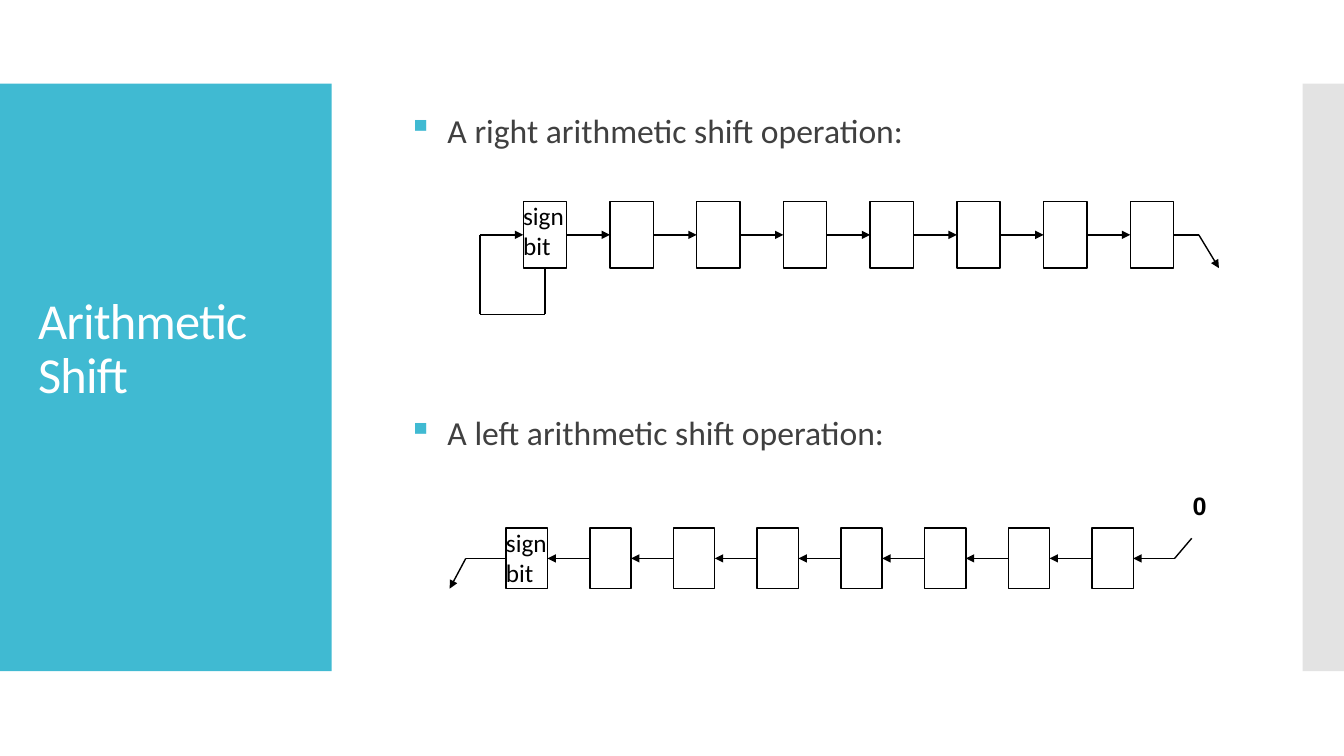
from lxml import etree
from pptx import Presentation
from pptx import util as u
from pptx.dml import color
from pptx.enum import shapes, text
from pptx.oxml import ns

PX = 9144
TOP, LEFT, BOTTOM, RIGHT = range(4)
ACCENT, INK, BLACK, WHITE = "40BAD2", "404040", "000000", "FFFFFF"


def px(*lengths):
    return [u.Emu(round(length * PX)) for length in lengths]


def rgb(code):
    return color.RGBColor.from_string(code)


def child(parent, tag, **attributes):
    return etree.SubElement(parent, ns.qn(tag), attributes)


def add_rect(page, box, fill=None, line=None):
    rect = page.shapes.add_shape(shapes.MSO_SHAPE.RECTANGLE, *px(*box))
    rect.shadow.inherit = False
    if fill:
        rect.fill.solid()
        rect.fill.fore_color.rgb = rgb(fill)
    else:
        rect.fill.background()
    if line:
        rect.line.color.rgb = rgb(line)
        rect.line.width = u.Pt(1)
    else:
        rect.line.fill.background()
    return rect


def add_text(page, box, lines, size, code, font="Calibri", wrap=True):
    frame = page.shapes.add_textbox(*px(*box)).text_frame
    frame.word_wrap = wrap
    frame.text = "\n".join(lines)
    for para in frame.paragraphs:
        para.font.name = font
        para.font.size = u.Pt(size)
        para.font.color.rgb = rgb(code)
    return frame


def add_trace(page, points, start=None, end=None, arrow=True):
    pairs = list(zip(points, points[1:]))
    for index, (origin, target) in enumerate(pairs):
        line = page.shapes.add_connector(
            shapes.MSO_CONNECTOR.STRAIGHT, *px(*origin, *target))
        line.line.color.rgb = rgb(BLACK)
        line.line.width = u.Pt(1)
        last = index == len(pairs) - 1
        if start and index == 0:
            line.begin_connect(*start)
        if end and last:
            line.end_connect(*end)
        if arrow and last:
            child(line.line._get_or_add_ln(), "a:tailEnd", type="triangle")
        child(line._element.spPr, "a:effectLst")


def add_sidebar(page, box):
    left, top, width, height = box
    add_rect(page, box, ACCENT)
    frame = add_text(page, (left + 28, top + 40, width - 55, height - 134),
                     ["Arithmetic Shift"], 36, WHITE)
    frame.vertical_anchor = text.MSO_ANCHOR.MIDDLE
    para = frame.paragraphs[0]
    para.line_spacing = 0.9
    para.runs[0].font._element.set("spc", "-60")


def add_edge(page, box):
    edge = add_rect(page, box, "C8C8C8")
    fill = edge._element.spPr.find(ns.qn("a:solidFill"))
    child(fill[0], "a:alpha", val="50000")


def add_statements(page, box):
    frame = add_text(page, box, ["A right arithmetic shift operation:",
                                 "A left arithmetic shift operation:"], 24, INK)
    for para in frame.paragraphs:
        para.alignment = text.PP_ALIGN.JUSTIFY
        para.line_spacing = 1.25
        props = para._p.get_or_add_pPr()
        props.set("marL", str(39 * PX))
        props.set("indent", str(-39 * PX))
        bullet_color = etree.Element(ns.qn("a:buClr"))
        child(bullet_color, "a:srgbClr", val=ACCENT)
        bullet = etree.Element(ns.qn("a:buChar"), char="▪")
        props.find(ns.qn("a:defRPr")).addprevious(bullet_color)
        bullet_color.addnext(bullet)
    frame.paragraphs[1].space_before = u.Pt(180)


def add_register(page, box, pitch, leftward=False):
    left, top, width, height = box
    middle = top + height / 2
    cells = [add_rect(page, (left + i * pitch, top, width, height), line=BLACK)
             for i in range(8)]
    for i, (near, far) in enumerate(zip(cells, cells[1:])):
        ends = [(near, RIGHT), (far, LEFT)]
        points = [(left + i * pitch + width, middle), (left + (i + 1) * pitch, middle)]
        if leftward:
            ends.reverse()
            points.reverse()
        add_trace(page, points, *ends)
    add_text(page, (left - 10, top - 6, 64, 71), ["sign", "bit"], 18, BLACK)
    return cells[0], cells[-1]


def add_right_shift(page, box):
    left, top, width, height = box
    pitch = 2 * width
    sign, tail = add_register(page, box, pitch)
    middle, center, end = top + height / 2, left + width / 2, left + 7 * pitch + width
    add_trace(page, [(center, top + height), (center, top + 112), (left - 43, top + 112),
                     (left - 43, middle), (left, middle)], (sign, BOTTOM), (sign, LEFT))
    add_trace(page, [(end, middle), (end + 25, middle), (end + 45, top + height)],
              (tail, RIGHT))


def add_left_shift(page, box):
    left, top, width, height = box
    pitch = 2 * width + 1
    sign, tail = add_register(page, box, pitch, leftward=True)
    middle, end = top + height / 2, left + 7 * pitch + width
    add_trace(page, [(end + 58, middle - 20), (end + 41, middle), (end, middle)],
              end=(tail, RIGHT))
    add_trace(page, [(left, middle), (left - 40, middle), (left - 56, top + height)],
              (sign, LEFT))
    zero = add_text(page, (end + 49, top - 39, 36, 46), ["0"], 18, BLACK, "Arial", False)
    zero.paragraphs[0].font.bold = True
    zero.paragraphs[0].line_spacing = 0.9


def main():
    deck = Presentation()
    deck.slide_width, deck.slide_height = px(1333, 750)
    page = deck.slides.add_slide(deck.slide_layouts[6])
    add_sidebar(page, (0, 83, 329, 583))
    add_edge(page, (1292, 83, 41, 583))
    add_statements(page, (395, 94, 876, 560))
    add_right_shift(page, (519, 200, 43, 66))
    add_left_shift(page, (502, 524, 41, 60))
    deck.save("out.pptx")


if __name__ == "__main__":
    main()
